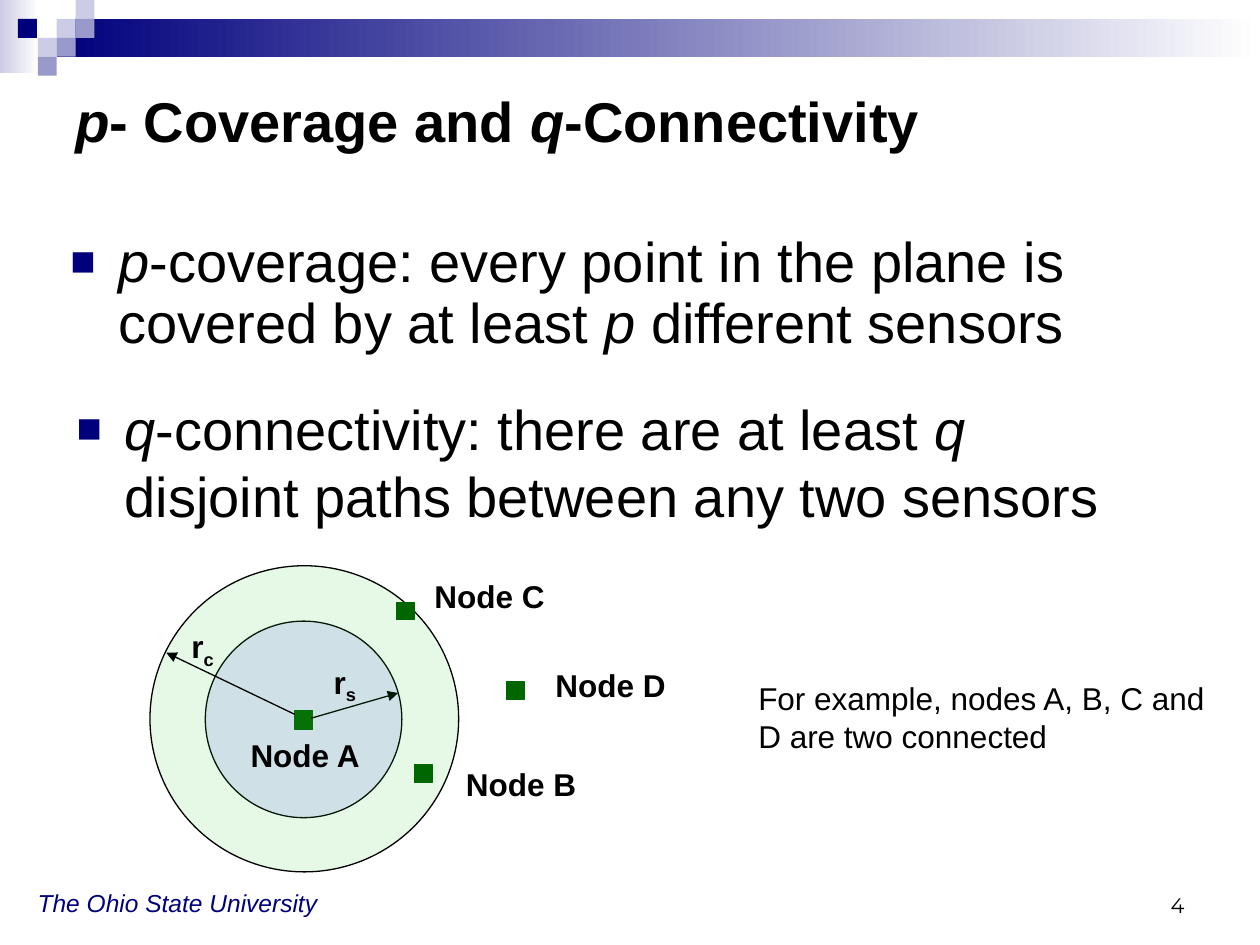
from lxml.etree import SubElement
from pptx import Presentation
from pptx.dml.color import RGBColor
from pptx.enum.shapes import MSO_CONNECTOR, MSO_SHAPE
from pptx.enum.text import MSO_ANCHOR, MSO_AUTO_SIZE, PP_ALIGN
from pptx.oxml.ns import qn
from pptx.util import Inches, Pt

COLORS = {
    "black": "000000", "white": "FFFFFF", "navy": "00007D",
    "periwinkle": "9999CC", "lavender": "CCCCE6", "node": "006600",
    "sensing": "9999FF", "communication": "33CC33",
}
TILE = 0.15


def rgb(name):
    return RGBColor.from_string(COLORS[name])


def add_box(slide, preset, box, color=None, outline=None):
    shape = slide.shapes.add_shape(preset, *map(Inches, box))
    shape.shadow.inherit = False
    if color:
        shape.fill.solid()
        shape.fill.fore_color.rgb = rgb(color)
    if outline:
        shape.line.color.rgb = rgb(outline)
        shape.line.width = Pt(0.75)
    else:
        shape.line.fill.background()
    return shape


def add_fade(slide, box, color):
    """Add a band that fades from color at the left to white at the right."""
    band = add_box(slide, MSO_SHAPE.RECTANGLE, box)
    band.fill.gradient()
    band.fill.gradient_angle = 180
    for stop, name in zip(band.fill.gradient_stops, ("white", color)):
        stop.color.rgb = rgb(name)


def add_range(slide, box, color, opacity):
    """Add a see-through disc; opacity is in percent."""
    disc = add_box(slide, MSO_SHAPE.OVAL, box, color, "black")
    tint = disc.fill._xPr.find(qn("a:solidFill"))[0]
    SubElement(tint, qn("a:alpha"), val=str(opacity * 1000))


def add_node(slide, left, top, height=0.14):
    add_box(slide, MSO_SHAPE.RECTANGLE, (left, top, 0.14, height), "node", "node")


def add_radius(slide, start, end):
    arrow = slide.shapes.add_connector(
        MSO_CONNECTOR.STRAIGHT, *map(Inches, (*start, *end)))
    arrow.line.color.rgb = rgb("black")
    arrow.line.width = Pt(0.75)
    SubElement(arrow.line._get_or_add_ln(), qn("a:tailEnd"), type="triangle")
    SubElement(arrow._element.spPr, qn("a:effectLst"))


def add_text(slide, box, lines, size=18, color="black", font="Arial", bold=False,
             wrap=True, anchor=MSO_ANCHOR.TOP, align=PP_ALIGN.LEFT):
    """Add lines of (text, style) runs; style is "", "italic" or "sub"."""
    frame = slide.shapes.add_textbox(*map(Inches, box)).text_frame
    frame.word_wrap = wrap
    frame.auto_size = MSO_AUTO_SIZE.NONE
    frame.vertical_anchor = anchor
    for number, runs in enumerate(lines):
        paragraph = frame.add_paragraph() if number else frame.paragraphs[0]
        paragraph.alignment = align
        for text, style in runs:
            run = paragraph.add_run()
            run.text = text
            run.font.name = font
            run.font.size = Pt(size)
            run.font.bold = bold
            run.font.italic = style == "italic"
            run.font.color.rgb = rgb(color)
            if style == "sub":
                run._r.get_or_add_rPr().set("baseline", "-25000")
    return frame


def add_definition(slide, box, runs, line_spacing=1.0):
    """Add a 32-point paragraph with a hanging square bullet."""
    paragraph = add_text(slide, box, [runs], size=32).paragraphs[0]
    paragraph.line_spacing = line_spacing
    paragraph.space_before = Pt(8)
    properties = paragraph._p.get_or_add_pPr()
    properties.set("marL", str(Inches(0.38)))
    properties.set("indent", str(Inches(-0.38)))
    bullet_color = SubElement(properties, qn("a:buClr"))
    SubElement(bullet_color, qn("a:srgbClr"), val=COLORS["navy"])
    SubElement(properties, qn("a:buSzPct"), val="75000")
    SubElement(properties, qn("a:buFont"), typeface="Arial")
    SubElement(properties, qn("a:buChar"), char="■")


def add_header(slide):
    add_fade(slide, (0, 0, 0.31, 0.58), "lavender")
    add_fade(slide, (0.45, 0.15, 9.55, 0.3), "navy")
    tiles = [(3, 1, "lavender"), (4, 0, "lavender"), (4, 1, "periwinkle"),
             (2, 2, "lavender"), (0.95, 1, "navy"), (3, 2, "periwinkle"),
             (2, 3, "periwinkle")]
    for column, row, color in tiles:
        add_box(slide, MSO_SHAPE.RECTANGLE,
                (column * TILE, row * TILE, TILE, TILE), color)


def add_diagram(slide):
    add_range(slide, (1.63, 4.93, 1.56, 1.56), "sensing", 25)
    add_node(slide, 2.34, 5.64, 0.15)
    add_radius(slide, (2.47, 5.7), (3.16, 5.5))
    add_range(slide, (1.19, 4.49, 2.45, 2.43), "communication", 12)
    add_radius(slide, (2.34, 5.67), (1.32, 5.18))
    for left, top, subscript in [(2.55, 5.21, "s"), (1.42, 4.93, "c")]:
        add_text(slide, (left, top, 0.39, 0.44),
                 [[("r", ""), (subscript, "sub")]], bold=True)
    for left, top in [(3.29, 6.07), (3.15, 4.78), (4.02, 5.41)]:
        add_node(slide, left, top)
    labels = [("A", 1.89, 5.79), ("B", 3.6, 6.02), ("C", 3.35, 4.53), ("D", 4.31, 5.24)]
    for letter, left, top in labels:
        add_text(slide, (left, top, 1.07, 0.4), [[(f"Node {letter}", "")]],
                 bold=True, wrap=False)


def main():
    presentation = Presentation()
    presentation.slide_width = Inches(10)
    presentation.slide_height = Inches(7.5)
    slide = presentation.slides.add_slide(presentation.slide_layouts[6])

    add_header(slide)
    add_text(slide, (0.5, 0.5, 9, 0.9),
             [[("p", "italic"), ("- Coverage and ", ""),
               ("q", "italic"), ("-Connectivity", "")]],
             size=32, bold=True, anchor=MSO_ANCHOR.MIDDLE)
    add_definition(slide, (0.51, 3.08, 8.51, 1.32),
                   [("q", "italic"), ("-connectivity: there are at least ", ""),
                    ("q", "italic"), (" disjoint paths between any two sensors", "")])
    add_definition(slide, (0.46, 1.81, 8.66, 1.25),
                   [("p", "italic"),
                    ("-coverage: every point in the plane is covered by at least ", ""),
                    ("p", "italic"), (" different sensors", "")], line_spacing=0.9)
    add_diagram(slide)
    add_text(slide, (5.92, 5.34, 3.76, 0.7),
             [[("For example, nodes A, B, C and", "")], [("D are two connected", "")]],
             wrap=False)
    add_text(slide, (0.2, 7, 3.38, 0.34), [[("The Ohio State University", "italic")]],
             size=14, color="navy")
    add_text(slide, (7.17, 6.83, 2.33, 0.5), [[("4", "")]], size=12,
             font="Montserrat", anchor=MSO_ANCHOR.BOTTOM, align=PP_ALIGN.RIGHT)
    presentation.save("out.pptx")


if __name__ == "__main__":
    main()
